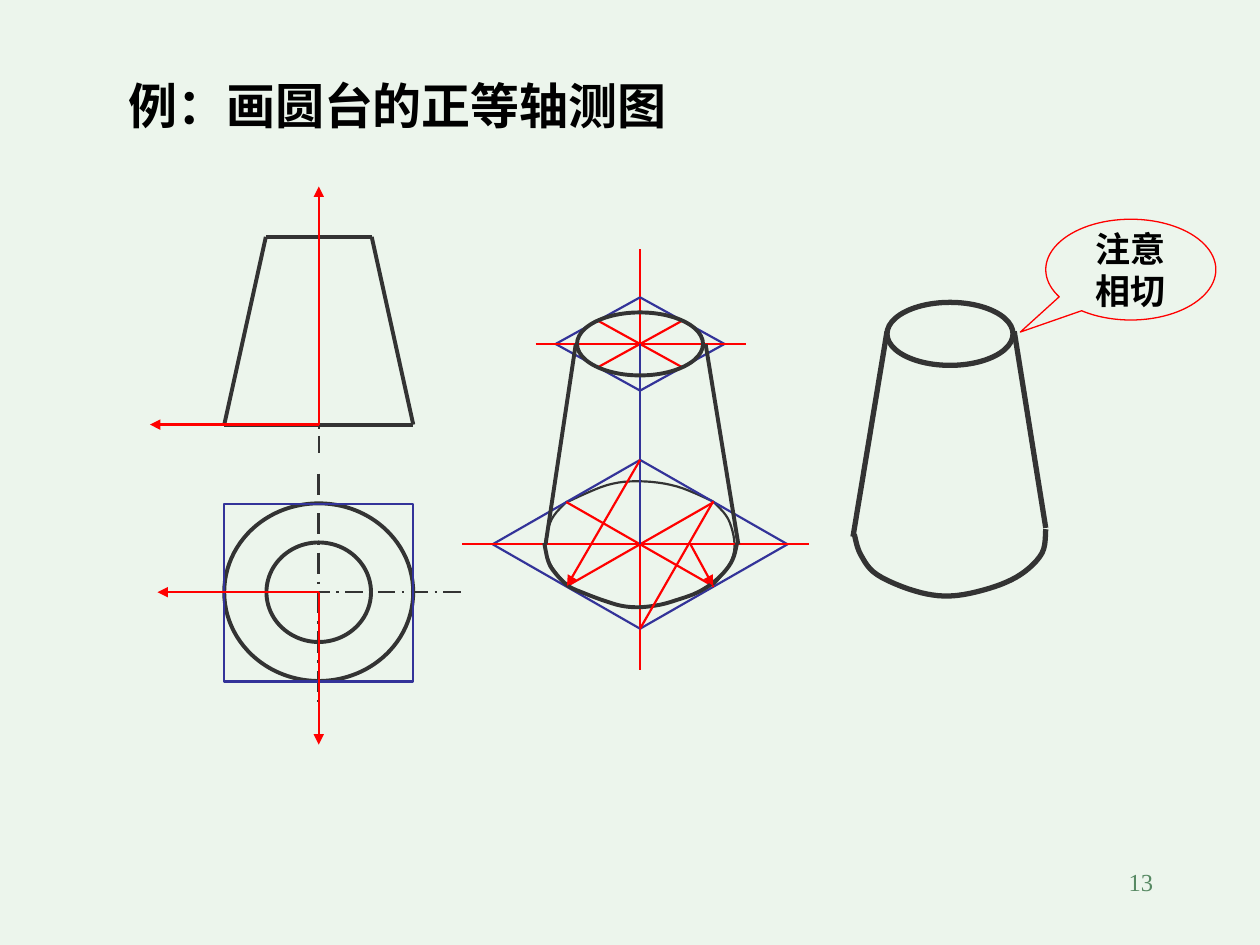
from lxml import etree
from pptx import Presentation
from pptx import util as u
from pptx.dml.color import RGBColor
from pptx.enum import dml, shapes, text
from pptx.oxml.ns import qn

Inches = u.Inches
PAPER = RGBColor(0xEC, 0xF5, 0xEC)
INK = RGBColor(0x33, 0x33, 0x33)
RED = RGBColor(0xFF, 0x00, 0x00)
BLUE = RGBColor(0x33, 0x33, 0x99)
GREEN = RGBColor(0x57, 0x89, 0x63)
BLACK = RGBColor(0x00, 0x00, 0x00)
CJK = "Noto Sans CJK SC"
KIND = shapes.MSO_SHAPE
ALIGN = text.PP_ALIGN


def apply(obj, values):
    for name, value in values.items():
        setattr(obj, name, value)


def stroke(sp, color, width):
    sp.line.color.rgb = color
    sp.line.width = u.Pt(width)


def line(s, x1, y1, x2, y2, color=INK, width=2.25, dash=None, arrow=False):
    sp = s.shapes.add_connector(
        shapes.MSO_CONNECTOR.STRAIGHT, Inches(x1), Inches(y1), Inches(x2), Inches(y2))
    stroke(sp, color, width)
    if dash:
        sp.line.dash_style = dash
    if arrow:
        etree.SubElement(sp.line._get_or_add_ln(), qn("a:tailEnd"), type="triangle")
    etree.SubElement(sp._element.spPr, qn("a:effectLst"))
    return sp


def outline(s, kind, x, y, w, h, color=INK, width=2.25):
    sp = s.shapes.add_shape(kind, Inches(x), Inches(y), Inches(w), Inches(h))
    sp.shadow.inherit = False
    sp.fill.background()
    stroke(sp, color, width)
    return sp


def curve(s, x, y, knots, width, steps=6):
    ends = [knots[0], *knots, knots[-1]]
    points = []
    for a, b, c, d in zip(ends, ends[1:], ends[2:], ends[3:]):
        for i in range(steps):
            t = i / steps
            points.append([
                q + t * (r - p) / 2 + t * t * (2 * p - 5 * q + 4 * r - n) / 2
                + t ** 3 * (3 * q - p - 3 * r + n) / 2
                for p, q, r, n in zip(a, b, c, d)])
    points.append(knots[-1])
    places = [(Inches(x + px), Inches(y + py)) for px, py in points]
    builder = s.shapes.build_freeform(*places[0])
    builder.add_line_segments(places[1:], close=False)
    sp = builder.convert_to_shape()
    sp.shadow.inherit = False
    sp.fill.background()
    stroke(sp, INK, width)


def write(sp, words, size, font, color, bold, align, before=0):
    tf = sp.text_frame
    tf.word_wrap = True
    p = tf.paragraphs[0]
    apply(p, {"alignment": align, "space_before": u.Pt(before)})
    r = p.add_run()
    r.text = words
    apply(r.font, {"size": u.Pt(size), "name": font, "bold": bold})
    r.font.color.rgb = color
    etree.SubElement(r.font._element, qn("a:ea"), typeface=font)


def label(s, x, y, w, h, *style):
    write(s.shapes.add_textbox(Inches(x), Inches(y), Inches(w), Inches(h)), *style)


def two_views(s, x, y):
    cx, base, plan = x + 1.34, y + 1.89, y + 3.22
    top = base - 1.49
    dash = dml.MSO_LINE.LONG_DASH_DOT
    line(s, cx, y + 0.16, cx, base + 0.24, INK, 1.25, dash)
    line(s, x + 0.25, plan, x + 2.5, plan, INK, 1.25, dash)
    line(s, cx, y + 2.28, cx, y + 4.09, INK, 1.5, dash)
    line(s, cx - 0.42, top, cx + 0.42, top)
    line(s, cx - 0.75, base, cx + 0.75, base)
    for side in (-1, 1):
        line(s, cx + side * 0.42, top, cx + side * 0.75, base)
    for w, h in ((1.5, 1.41), (0.83, 0.79)):
        outline(s, KIND.OVAL, cx - w / 2, plan - h / 2, w, h)
    outline(s, KIND.RECTANGLE, cx - 0.75, plan - 0.7, 1.5, 1.41, BLUE, 1.25)
    for start, dx, dy in ((plan, 0, 1.21), (base, 0, -1.89),
                          (base, -1.34, 0), (plan, -1.28, 0)):
        line(s, cx, start, cx + dx, start + dy, RED, 1.25, arrow=True)


def rhombus(s, cx, cy, half_w, half_h, left, right):
    corners = [(cx, cy - half_h), (cx + half_w, cy), (cx, cy + half_h), (cx - half_w, cy)]
    for a, b in zip(corners, corners[1:] + corners[:1]):
        line(s, *a, *b, BLUE, 1.25)
    for side in (-1, 1):
        dx, dy = side * half_w / 2, half_h / 2
        line(s, cx - dx, cy - dy, cx + dx, cy + dy, RED, 1.25)
    line(s, cx - left, cy, cx + right, cy, RED, 1.25)


def construction(s, x, y):
    cx, top, base = x + 1.41, y + 0.75, y + 2.34
    curve(s, cx, base, [(-0.57, -0.34), (-0.26, -0.47), (0, -0.5),
                        (0.29, -0.46), (0.58, -0.34)], 1.25)
    for side in (-1, 1):
        curve(s, cx, base, [(side * px, py) for px, py in (
            (0.58, 0.33), (0.71, 0.16), (0.75, 0), (0.7, -0.2), (0.58, -0.34))], 1.25)
    line(s, cx, y, cx, y + 3.34, RED, 1.25)
    rhombus(s, cx, top, 0.67, 0.37, 0.83, 0.84)
    rhombus(s, cx, base, 1.17, 0.67, 1.41, 1.34)
    line(s, cx, top, cx, base, BLUE, 1.25)
    curve(s, cx, base, [
        (-0.76, -0.01), (-0.73, 0.13), (-0.68, 0.22), (-0.57, 0.33), (-0.44, 0.39),
        (-0.28, 0.45), (-0.14, 0.49), (0, 0.5), (0.16, 0.48), (0.3, 0.44), (0.44, 0.39),
        (0.56, 0.32), (0.66, 0.23), (0.72, 0.15), (0.75, 0.08), (0.77, -0.01)], 2.25)
    line(s, cx, base + 0.67, cx + 0.58, base - 0.34, RED, 1.25)
    line(s, cx, base - 0.67, cx - 0.58, base + 0.33, RED, 1.25, arrow=True)
    line(s, cx + 0.4, base, cx + 0.58, base + 0.33, RED, 1.25, arrow=True)
    outline(s, KIND.OVAL, cx - 0.5, top - 0.25, 1, 0.5)
    line(s, cx - 0.51, top, cx - 0.75, base)
    line(s, cx + 0.52, top, cx + 0.78, base)


def finished_cone(s, x, y):
    curve(s, x, y, [(0.01, 1.84), (0.06, 2), (0.19, 2.16), (0.49, 2.29), (0.77, 2.33),
                    (1.08, 2.27), (1.33, 2.16), (1.5, 1.99), (1.53, 1.8)], 3)
    outline(s, KIND.OVAL, x + 0.27, y, 1, 0.5, INK, 3)
    line(s, x + 0.27, y + 0.23, x, y + 1.86, INK, 3)
    line(s, x + 1.28, y + 0.23, x + 1.53, y + 1.79, INK, 3)


def callout(s, x, y, w, h):
    sp = outline(s, KIND.OVAL_CALLOUT, x, y, w, h, RED, 0.75)
    for i, value in enumerate((-0.65, 0.62)):
        sp.adjustments[i] = value
    sp.text_frame.vertical_anchor = text.MSO_ANCHOR.MIDDLE
    write(sp, "注意相切", 20, CJK, BLACK, True, ALIGN.CENTER)


def main():
    prs = Presentation()
    apply(prs, {"slide_width": Inches(10), "slide_height": Inches(7.5)})
    s = prs.slides.add_slide(prs.slide_layouts[6])
    s.background.fill.solid()
    s.background.fill.fore_color.rgb = PAPER
    label(s, 7.17, 6.83, 2.08, 0.5, "13", 14, "Times New Roman", GREEN, False,
          ALIGN.RIGHT, 8.8)
    label(s, 0.92, 0.55, 5.99, 0.57, "例：画圆台的正等轴测图", 28, CJK, BLACK, True,
          ALIGN.LEFT)
    two_views(s, 1.19, 1.48)
    construction(s, 3.67, 1.98)
    finished_cone(s, 6.77, 2.4)
    callout(s, 8.3, 1.74, 1.35, 0.8)
    prs.save("out.pptx")


if __name__ == "__main__":
    main()
